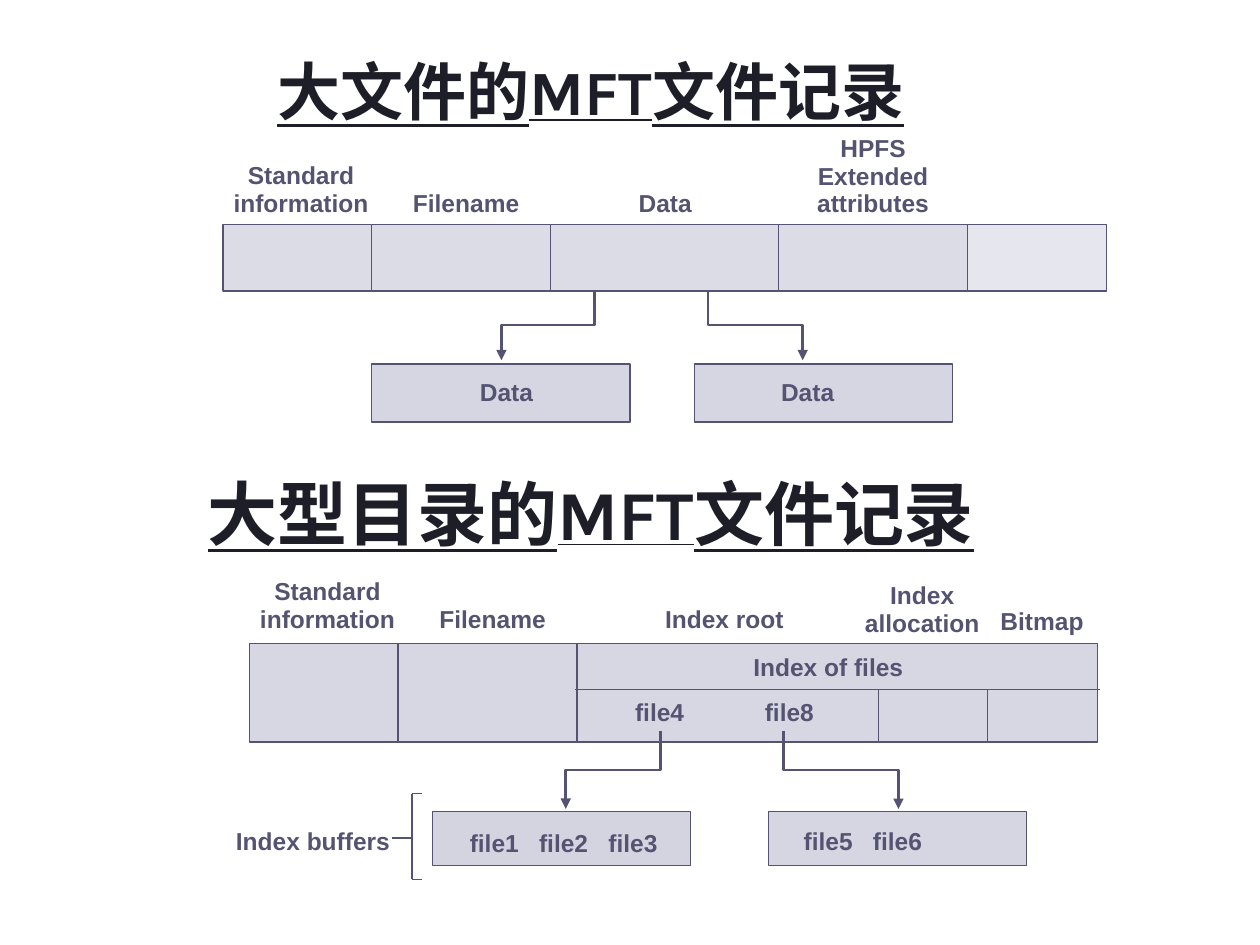
from typing import NamedTuple

import pptx
import pptx.dml.color
import pptx.enum.shapes
import pptx.enum.text
import pptx.oxml
import pptx.oxml.ns
import pptx.util
from pptx.util import Inches

RGBColor = pptx.dml.color.RGBColor
MSO_CONNECTOR = pptx.enum.shapes.MSO_CONNECTOR
MSO_ANCHOR = pptx.enum.text.MSO_ANCHOR
PP_ALIGN = pptx.enum.text.PP_ALIGN
qn = pptx.oxml.ns.qn

INK = RGBColor(0x1E, 0x1E, 0x28)
SLATE = RGBColor(0x54, 0x54, 0x72)
LAVENDER = RGBColor(0x97, 0x97, 0xB7)
LINE_H = 0.225
TAB_STEP = 0.55


class Box(NamedTuple):
    x: float
    y: float
    w: float
    h: float
    opacity: int


class Label(NamedTuple):
    text: str
    x: float
    y: float
    w: float = 1.34


class Line(NamedTuple):
    x1: float
    y1: float
    x2: float
    y2: float


RECORD_TOP, RECORD_BOTTOM = 1.78, 2.31
DIR_TOP, DIR_MID, DIR_BOTTOM = 5.11, 5.47, 5.89
BRACKET_X, BRACKET_TOP, BRACKET_BOTTOM = 3.27, 6.3, 6.98

BOXES = [
    Box(1.77, RECORD_TOP, 5.91, 0.53, 33),
    Box(7.68, RECORD_TOP, 1.1, 0.53, 23),
    Box(2.95, 2.89, 2.05, 0.46, 39),
    Box(5.51, 2.89, 2.05, 0.46, 39),
    Box(1.98, DIR_TOP, 6.73, 0.78, 38),
    Box(3.43, 6.44, 2.05, 0.43, 41),
    Box(6.1, 6.44, 2.05, 0.43, 39),
]

LINES = [
    *(Line(x, RECORD_TOP, x, RECORD_BOTTOM) for x in (2.95, 4.37, 6.18)),
    *(Line(x, DIR_TOP, x, DIR_BOTTOM) for x in (3.16, 4.58)),
    *(Line(x, DIR_MID, x, DIR_BOTTOM) for x in (6.97, 7.84)),
    Line(4.56, DIR_MID, 8.73, DIR_MID),
    Line(BRACKET_X, BRACKET_TOP, BRACKET_X, BRACKET_BOTTOM),
    *(Line(BRACKET_X, y, 3.35, y) for y in (BRACKET_TOP, BRACKET_BOTTOM)),
    Line(3.11, 6.65, BRACKET_X, 6.65),
]

ARROWS = [
    Line(4.72, 2.3, 3.98, 2.86),
    Line(5.62, 2.3, 6.37, 2.86),
    Line(5.24, 5.8, 4.49, 6.42),
    Line(6.22, 5.8, 7.13, 6.42),
]

LABELS = [
    Label("Standard\ninformation", 1.72, 1.24),
    Label("Filename", 3.03, 1.46),
    Label("Data", 4.61, 1.46),
    Label("HPFS\nExtended\nattributes", 6.26, 1.02),
    Label("Data", 3.35, 2.96),
    Label("Data", 5.74, 2.96),
    Label("Standard\ninformation", 1.93, 4.54),
    Label("Filename", 3.24, 4.76),
    Label("Index root", 5.08, 4.76),
    Label("Index\nallocation", 6.65, 4.57),
    Label("Bitmap", 7.6, 4.78),
    Label("Index of files", 5.71, 5.14, 1.73),
    Label("file4", 4.84, 5.5, 0.79),
    Label("file8", 5.87, 5.5, 0.79),
    Label("Index buffers", 1.62, 6.52, 1.73),
]

FILE_LISTS = [
    Label("file1\tfile2\tfile3", 3.63, 6.54, 1.81),
    Label("file5\tfile6", 6.28, 6.52, 1.24),
]


def add_box(slide, box: Box) -> None:
    sp = slide.shapes.add_shape(
        pptx.enum.shapes.MSO_SHAPE.RECTANGLE, *(Inches(v) for v in box[:4]))
    sp.shadow.inherit = False
    sp.fill.solid()
    sp.fill.fore_color.rgb = LAVENDER
    color = sp._element.spPr.find(qn("a:solidFill"))[0]
    pptx.oxml.ns  # alpha is a child of the fill colour
    color.append(color.makeelement(qn("a:alpha"), {"val": str(box.opacity * 1000)}))
    sp.line.color.rgb = SLATE
    sp.line.width = pptx.util.Pt(0.75)


def add_line(slide, line: Line, kind=MSO_CONNECTOR.STRAIGHT, width: float = 0.75):
    cxn = slide.shapes.add_connector(kind, *(Inches(v) for v in line))
    cxn.line.color.rgb = SLATE
    cxn.line.width = pptx.util.Pt(width)
    spPr = cxn._element.spPr
    spPr.append(spPr.makeelement(qn("a:effectLst"), {}))
    return cxn


def add_elbow_arrow(slide, arrow: Line) -> None:
    """Draw a down-across-down arrow as a turned elbow connector."""
    run, drop = abs(arrow.x2 - arrow.x1), arrow.y2 - arrow.y1
    left = (arrow.x1 + arrow.x2 - drop) / 2
    top = (arrow.y1 + arrow.y2 - run) / 2
    cxn = add_line(slide, Line(left, top, left + drop, top + run),
                   MSO_CONNECTOR.ELBOW, 1.5)
    xfrm = cxn._element.spPr.find(qn("a:xfrm"))
    if arrow.x2 < arrow.x1:
        xfrm.set("rot", str(90 * 60000))
    else:
        xfrm.set("rot", str(270 * 60000))
        xfrm.set("flipH", "1")
    ln = cxn._element.spPr.find(qn("a:ln"))
    ln.append(ln.makeelement(qn("a:tailEnd"), {"type": "triangle"}))


def format_run(r, font: str, size: int, color: RGBColor) -> None:
    r.font.name = font
    r.font.size = pptx.util.Pt(size)
    r.font.bold = True
    r.font.color.rgb = color


def add_label(slide, label: Label, align=PP_ALIGN.CENTER) -> None:
    lines = label.text.split("\n")
    sp = slide.shapes.add_textbox(
        Inches(label.x), Inches(label.y), Inches(label.w),
        Inches(0.1 + LINE_H * len(lines)))
    tf = sp.text_frame
    tf.word_wrap = True
    tf.text = label.text
    for p in tf.paragraphs:
        add_tabs(p, p.text.count("\t"))
        p.alignment = align
        p.line_spacing = 0.95
        for r in p.runs:
            format_run(r, "Arial", 14, SLATE)


def add_tabs(p, count: int) -> None:
    if not count:
        return
    pPr = p._p.get_or_add_pPr()
    tabs = pPr.makeelement(qn("a:tabLst"), {})
    pPr.append(tabs)
    for i in range(1, count + 1):
        pos = str(int(Inches(TAB_STEP * i)))
        tabs.append(tabs.makeelement(qn("a:tab"), {"pos": pos, "algn": "l"}))


def set_heading(sp, text: str, y: float, size: int, anchor) -> None:
    sp.left, sp.top, sp.width, sp.height = (Inches(v) for v in (0.2, y, 8.98, 0.79))
    tf = sp.text_frame
    tf.text = text
    tf.word_wrap = True
    tf.auto_size = pptx.enum.text.MSO_AUTO_SIZE.NONE
    tf.vertical_anchor = anchor
    p = tf.paragraphs[0]
    p.alignment = PP_ALIGN.CENTER
    format_run(p.runs[0], "Karla", size, INK)
    p.runs[0].font.underline = True


def main() -> None:
    prs = pptx.Presentation()
    prs.slide_width, prs.slide_height = Inches(10), Inches(7.5)
    slide = prs.slides.add_slide(prs.slide_layouts[5])
    set_heading(slide.shapes.title, "大文件的MFT文件记录", 0.28, 36, MSO_ANCHOR.BOTTOM)
    for box in BOXES:
        add_box(slide, box)
    for line in LINES:
        add_line(slide, line)
    for arrow in ARROWS:
        add_elbow_arrow(slide, arrow)
    for label in LABELS:
        add_label(slide, label)
    for label in FILE_LISTS:
        add_label(slide, label, PP_ALIGN.LEFT)
    heading = slide.shapes.add_textbox(0, 0, 0, 0)
    set_heading(heading, "大型目录的MFT文件记录", 3.67, 40, MSO_ANCHOR.MIDDLE)
    prs.save("out.pptx")


if __name__ == "__main__":
    main()
